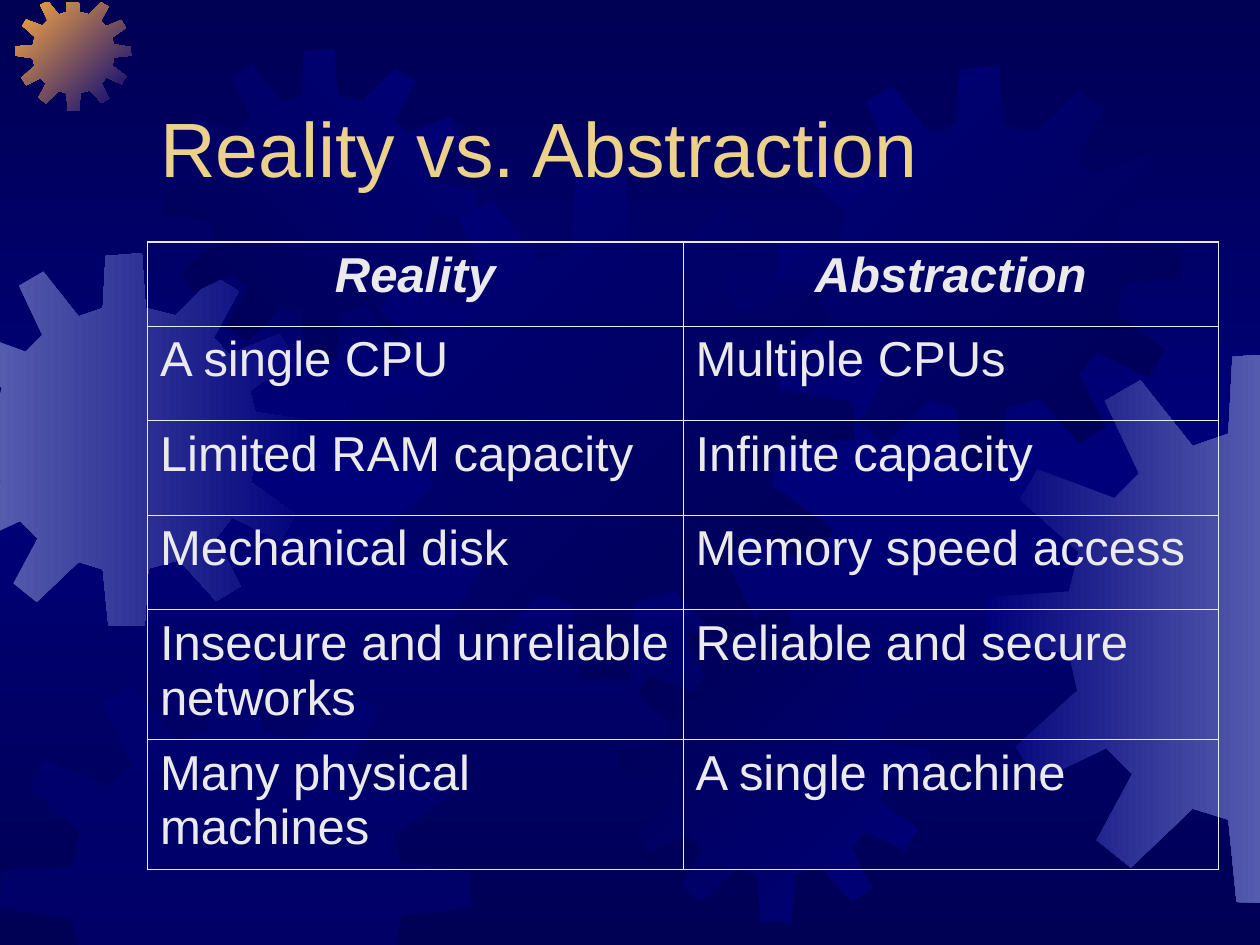
from copy import deepcopy

from lxml import etree
from pptx import Presentation
from pptx.dml.color import RGBColor
from pptx.enum.text import MSO_ANCHOR, MSO_AUTO_SIZE, PP_ALIGN
from pptx.oxml.ns import qn
from pptx.util import Inches, Pt

BOTTOM = MSO_ANCHOR.BOTTOM
NO_AUTOFIT = MSO_AUTO_SIZE.NONE
LEFT, CENTER = PP_ALIGN.LEFT, PP_ALIGN.CENTER
TITLE_ONLY = 5

COLORS = {
    "night": "000054",
    "navy": "00007A",
    "haze": "555BAD",
    "orange": "FCAB40",
    "gold": "EBD189",
    "light": "EAEAEA",
}

GEAR_SPAN = 401
GEAR_OUTLINE = [
    (255, 67), (223, 59), (219, 0), (180, 3), (177, 59), (151, 68),
    (113, 20), (87, 35), (112, 88), (94, 106), (38, 85), (25, 107),
    (68, 145), (61, 174), (1, 178), (0, 210), (61, 219), (67, 246),
    (22, 287), (38, 312), (88, 288), (107, 307), (81, 355), (106, 375),
    (151, 332), (177, 340), (183, 400), (222, 401), (226, 339), (259, 330),
    (299, 374), (325, 358), (299, 306), (316, 284), (368, 309), (384, 281),
    (336, 246), (342, 216), (401, 210), (400, 180), (341, 171), (335, 148),
    (383, 114), (367, 87), (313, 109), (296, 91), (323, 41), (297, 25),
]
EDGES = [(0, 0, 1), (0, 10, -1), (1, 0.02, 1), (1, 7.5, -1)]

GEARS = [
    (-0.49, 2.01, 2.96, ("haze", "navy"), 0),
    (0.12, -0.04, 0.92, ("orange", "navy"), 45),
    (1.3, 0.39, 2.48, ("night", "navy"), 315),
    (2.77, 1.39, 4.01, ("navy", "night"), 45),
    (0, 5.25, 3.74, ("navy",), 0),
    (4.91, 4.84, 2.48, ("night", "navy"), 45),
    (6.18, 0.53, 3.2, ("navy", "night"), 45),
    (7.82, 2.8, 4.37, ("navy", "haze"), 0),
]

ROWS = [
    ("Reality", "Abstraction"),
    ("A single CPU", "Multiple CPUs"),
    ("Limited RAM capacity", "Infinite capacity"),
    ("Mechanical disk", "Memory speed access"),
    ("Insecure and unreliable networks", "Reliable and secure"),
    ("Many physical machines", "A single machine"),
]
ROW_HEIGHTS = [0.67, 0.75, 0.75, 0.75, 1.03, 1.03]


def clip(points, axis, limit, sign):
    """Keep the part of a polygon on one side of a slide edge."""
    kept = []
    for start, end in zip(points, points[1:] + points[:1]):
        before, after = sign * (start[axis] - limit), sign * (end[axis] - limit)
        if before >= 0:
            kept.append(start)
        if before * after < 0:
            share = before / (before - after)
            kept.append(tuple(a + share * (b - a) for a, b in zip(start, end)))
    return kept


class SlideBuilder:
    """Hold the style and the current slide."""

    def __init__(self, slide, font="Arial"):
        """Remember the slide and the font."""
        self.slide = slide
        self.font = font

    def color(self, name):
        """Look up a named colour."""
        return RGBColor.from_string(COLORS[name])

    def gradient(self, fill, names, angle):
        """Give a fill two colours at a clockwise angle."""
        fill.gradient()
        fill.gradient_angle = (360 - angle) % 360
        for stop, name in zip(fill.gradient_stops, names):
            stop.color.rgb = self.color(name)

    def background(self, edge, middle):
        """Shade the background from edge to middle and back."""
        self.gradient(self.slide.background.fill, (edge, middle), 90)
        stops = next(self.slide.background._cSld.iter(qn("a:gsLst")))
        stops[1].set("pos", "50000")
        last = deepcopy(stops[0])
        last.set("pos", "100000")
        stops.append(last)

    def gear(self, left, top, size, names, angle):
        """Draw a gear, cut off at the slide edges."""
        scale = size / GEAR_SPAN
        points = [(left + x * scale, top + y * scale) for x, y in GEAR_OUTLINE]
        for edge in EDGES:
            points = clip(points, *edge)
        points = [(Inches(x), Inches(y)) for x, y in points]
        builder = self.slide.shapes.build_freeform(*points[0])
        builder.add_line_segments(points[1:], close=True)
        shape = builder.convert_to_shape()
        shape.shadow.inherit = False
        shape.line.fill.background()
        if len(names) > 1:
            self.gradient(shape.fill, names, angle)
        else:
            shape.fill.solid()
            shape.fill.fore_color.rgb = self.color(names[0])
            color = next(shape.fill._xPr.iter(qn("a:srgbClr")))
            etree.SubElement(color, qn("a:alpha"), val="50000")

    def run(self, paragraph, text, size, name, strong=False):
        """Add one formatted run."""
        run = paragraph.add_run()
        run.text = text
        run.font.name = self.font
        run.font.size = Pt(size)
        run.font.bold = run.font.italic = strong
        run.font.color.rgb = self.color(name)

    def title(self, text, left, top, width, height):
        """Place the title in front of the gears."""
        shape = self.slide.shapes.title
        shape.left, shape.top = Inches(left), Inches(top)
        shape.width, shape.height = Inches(width), Inches(height)
        frame = shape.text_frame
        frame.word_wrap = True
        frame.auto_size = NO_AUTOFIT
        frame.vertical_anchor = BOTTOM
        frame.paragraphs[0].alignment = LEFT
        self.run(frame.paragraphs[0], text, 44, "gold")
        self.slide.shapes._spTree.append(shape._element)

    def border(self, cell, side, width):
        """Draw one side of a cell."""
        properties = cell._tc.get_or_add_tcPr()
        line = etree.SubElement(properties, qn(f"a:ln{side}"), w=str(Pt(width)))
        fill = etree.SubElement(line, qn("a:solidFill"))
        etree.SubElement(fill, qn("a:srgbClr"), val=COLORS["light"])

    def table(self, rows, heights, left, top, width):
        """Add an unfilled table with a heavier outer frame."""
        last_row, last_column = len(rows) - 1, len(rows[0]) - 1
        table = self.slide.shapes.add_table(
            len(rows), len(rows[0]), Inches(left), Inches(top),
            Inches(width), Inches(sum(heights))).table
        table.first_row = table.horz_banding = False
        for i, (texts, height) in enumerate(zip(rows, heights)):
            table.rows[i].height = Inches(height)
            for j, text in enumerate(texts):
                cell = table.cell(i, j)
                outer = {"L": j == 0, "R": j == last_column,
                         "T": i == 0, "B": i == last_row}
                for side, is_outer in outer.items():
                    self.border(cell, side, 1.08 if is_outer else 0.45)
                cell.fill.background()
                paragraph = cell.text_frame.paragraphs[0]
                paragraph.alignment = CENTER if i == 0 else LEFT
                paragraph.space_before = Pt(7)
                self.run(paragraph, text, 28, "light", strong=i == 0)


def main():
    """Build and save the slide."""
    presentation = Presentation()
    presentation.slide_width, presentation.slide_height = Inches(10), Inches(7.5)
    layout = presentation.slide_layouts[TITLE_ONLY]
    builder = SlideBuilder(presentation.slides.add_slide(layout))
    builder.background("night", "navy")
    for gear in GEARS:
        builder.gear(*gear)
    builder.title("Reality vs. Abstraction", 1.17, 0.33, 8.5, 1.25)
    builder.table(ROWS, ROW_HEIGHTS, 1.17, 1.92, 8.5)
    presentation.save("out.pptx")


if __name__ == "__main__":
    main()
